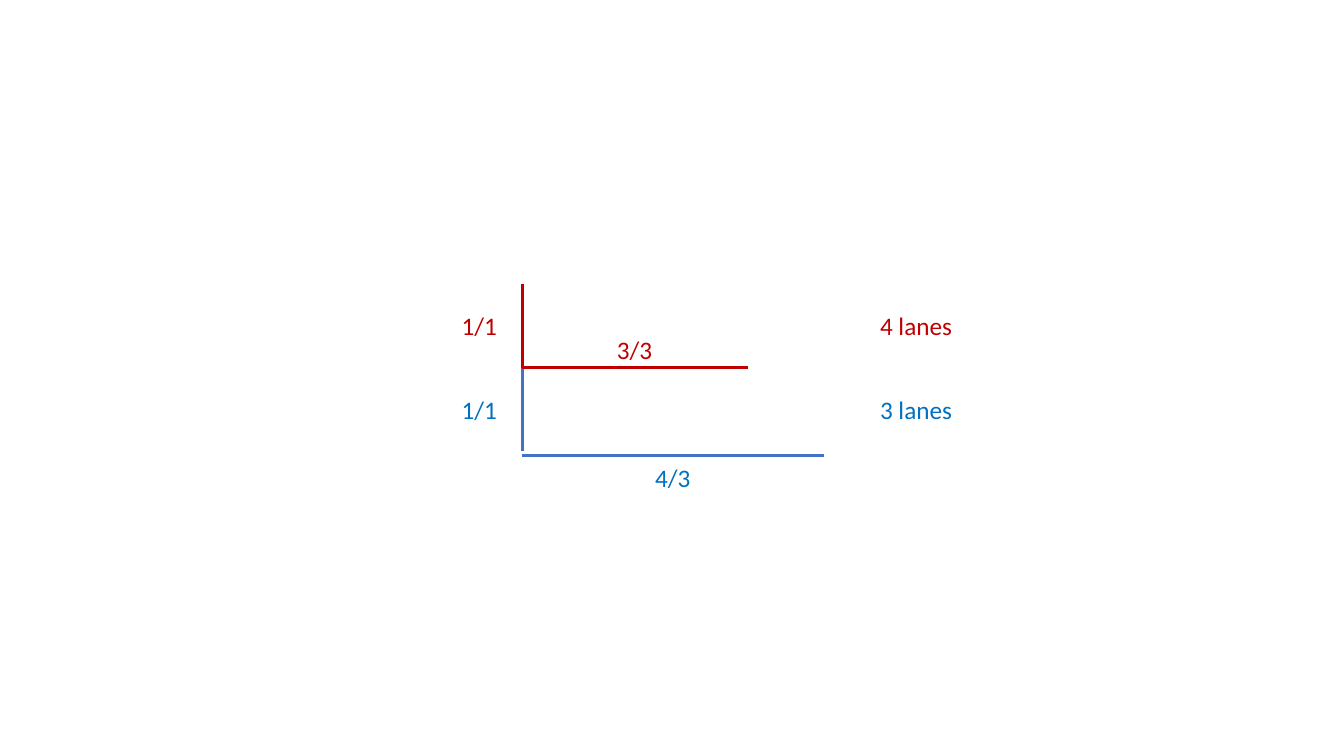
"""Build a slide that compares a 4-lane and a 3-lane layout with labelled lines."""
from dataclasses import dataclass

from lxml import etree
from pptx import Presentation
from pptx.dml.color import RGBColor
from pptx.enum.shapes import MSO_CONNECTOR
from pptx.enum.text import MSO_AUTO_SIZE
from pptx.oxml.ns import qn
from pptx.util import Inches, Pt

STRAIGHT = MSO_CONNECTOR.STRAIGHT
FIT_SHAPE = MSO_AUTO_SIZE.SHAPE_TO_FIT_TEXT


@dataclass(frozen=True)
class Theme:
    red: RGBColor = RGBColor(0xC0, 0x00, 0x00)
    blue_line: RGBColor = RGBColor(0x44, 0x72, 0xC4)
    blue_text: RGBColor = RGBColor(0x00, 0x70, 0xC0)
    font: str = "Calibri"
    size: Pt = Pt(18)
    line_width: Pt = Pt(2.25)


theme = Theme()
prs = Presentation()
prs.slide_width, prs.slide_height = Inches(13.33), Inches(7.5)
s = prs.slides.add_slide(prs.slide_layouts[6])

axis_x = 5.18
lines = [
    (axis_x, 3.64, axis_x, 4.47, theme.blue_line),
    (axis_x, 3.65, 7.42, 3.65, theme.red),
    (axis_x, 4.52, 8.17, 4.52, theme.blue_line),
    (axis_x, 2.82, axis_x, 3.65, theme.red),
]
for x1, y1, x2, y2, color in lines:
    c = s.shapes.add_connector(STRAIGHT, Inches(x1), Inches(y1), Inches(x2), Inches(y2))
    c.line.color.rgb = color
    c.line.width = theme.line_width
    etree.SubElement(c._element.spPr, qn("a:effectLst"))

ratio_w, lanes_w = 0.56, 0.92
ratio_x, lanes_x = 4.48, 8.63
red_y, blue_y = 3.03, 3.86
labels = [
    ("3/3", 6.02, 3.27, ratio_w, theme.red),
    ("4/3", 6.4, 4.54, ratio_w, theme.blue_text),
    ("1/1", ratio_x, red_y, ratio_w, theme.red),
    ("1/1", ratio_x, blue_y, ratio_w, theme.blue_text),
    ("4 lanes", lanes_x, red_y, lanes_w, theme.red),
    ("3 lanes", lanes_x, blue_y, lanes_w, theme.blue_text),
]
for text, x, y, w, color in labels:
    tf = s.shapes.add_textbox(Inches(x), Inches(y), Inches(w), Inches(0.4)).text_frame
    tf.word_wrap = False
    tf.auto_size = FIT_SHAPE
    p = tf.paragraphs[0]
    p.text = text
    p.font.name = theme.font
    p.font.size = theme.size
    p.font.color.rgb = color

prs.save("out.pptx")
